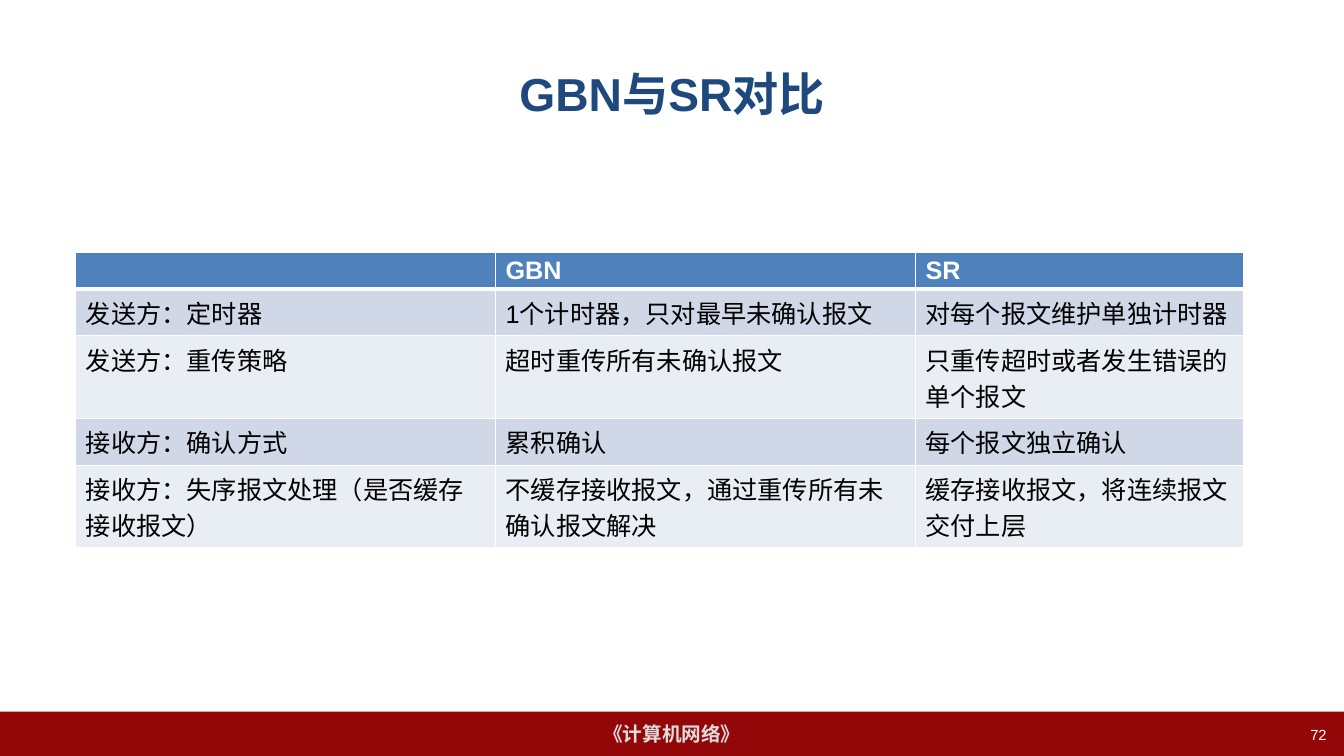
from dataclasses import dataclass

from lxml.etree import SubElement
from pptx import Presentation
from pptx.dml.color import RGBColor
from pptx.enum.shapes import MSO_SHAPE
from pptx.enum.text import MSO_ANCHOR, PP_ALIGN
from pptx.oxml.ns import qn
from pptx.util import Cm, Pt


@dataclass(frozen=True)
class Theme:
    """Colours, type sizes and font of the slide."""
    font: str = "Arial"
    navy: str = "1F497D"
    crimson: str = "940709"
    silver: str = "DDDDDD"
    white: str = "FFFFFF"
    black: str = "000000"
    header: str = "4F81BD"
    bands: tuple = ("D0D8E8", "E9EDF4")
    title_size: float = 33
    table_size: float = 18
    footer_size: float = 14
    number_size: float = 10.5


THEME = Theme()
COLUMN_WIDTHS = (10.58, 10.58, 8.26)
HEADER_HEIGHT, ONE_LINE, TWO_LINES = 0.94, 1.17, 2.09
ROW_HEIGHTS = (HEADER_HEIGHT, ONE_LINE, TWO_LINES, ONE_LINE, TWO_LINES)
COMPARISON = (
    ("", "GBN", "SR"),
    ("发送方：定时器", "1个计时器，只对最早未确认报文", "对每个报文维护单独计时器"),
    ("发送方：重传策略", "超时重传所有未确认报文", "只重传超时或者发生错误的单个报文"),
    ("接收方：确认方式", "累积确认", "每个报文独立确认"),
    ("接收方：失序报文处理（是否缓存接收报文）",
     "不缓存接收报文，通过重传所有未确认报文解决", "缓存接收报文，将连续报文交付上层"),
)


def write(frame, text, size, color, bold=False, align=PP_ALIGN.LEFT):
    """Put one styled paragraph into a text frame."""
    para = frame.paragraphs[0]
    para.text = text
    para.alignment = align
    para.font.name = THEME.font
    para.font.size = Pt(size)
    para.font.bold = bold
    para.font.color.rgb = RGBColor.from_string(color)


def add_label(page, area, anchor, text, size, color, **style):
    """Add a wrapping text box."""
    frame = page.shapes.add_textbox(*map(Cm, area)).text_frame
    frame.word_wrap = True
    frame.vertical_anchor = anchor
    write(frame, text, size, color, **style)


def add_footer(page, area, text):
    """Add the filled bar with the course name."""
    bar = page.shapes.add_shape(MSO_SHAPE.RECTANGLE, *map(Cm, area))
    bar.shadow.inherit = False
    bar.fill.solid()
    bar.fill.fore_color.rgb = RGBColor.from_string(THEME.crimson)
    bar.line.fill.background()
    bar.text_frame.word_wrap = False
    bar.text_frame.vertical_anchor = MSO_ANCHOR.MIDDLE
    write(bar.text_frame, text, THEME.footer_size, THEME.silver, True, PP_ALIGN.CENTER)


def set_borders(cell, bottom):
    """Draw white borders around a cell, with the given bottom width."""
    properties = cell._tc.get_or_add_tcPr()
    for side, width in (("L", 1), ("R", 1), ("T", 1), ("B", bottom)):
        line = SubElement(properties, qn(f"a:ln{side}"), w=str(Pt(width)))
        fill = SubElement(line, qn("a:solidFill"))
        SubElement(fill, qn("a:srgbClr"), val=THEME.white)


def add_comparison(page, left, top):
    """Add the table with a header row and banded body rows."""
    table = page.shapes.add_table(
        len(ROW_HEIGHTS), len(COLUMN_WIDTHS), Cm(left), Cm(top),
        Cm(sum(COLUMN_WIDTHS)), Cm(sum(ROW_HEIGHTS))).table
    for column, width in zip(table.columns, COLUMN_WIDTHS):
        column.width = Cm(width)
    for index, (row, height, texts) in enumerate(zip(table.rows, ROW_HEIGHTS, COMPARISON)):
        row.height = Cm(height)
        heading = index == 0
        fill = THEME.header if heading else THEME.bands[(index - 1) % 2]
        color = THEME.white if heading else THEME.black
        for cell, text in zip(row.cells, texts):
            set_borders(cell, 3 if heading else 1)
            cell.margin_bottom = Cm(0.05 if heading else 0.13)
            cell.fill.solid()
            cell.fill.fore_color.rgb = RGBColor.from_string(fill)
            write(cell.text_frame, text, THEME.table_size, color, heading)


def main():
    """Build the slide and save the deck."""
    deck = Presentation()
    deck.slide_width, deck.slide_height = Cm(33.87), Cm(19.05)
    page = deck.slides.add_slide(deck.slide_layouts[6])
    add_footer(page, (0, 17.93, 33.87, 1.12), "《计算机网络》")
    add_label(page, (1.7, 0.76, 30.48, 3.18), MSO_ANCHOR.MIDDLE, "GBN与SR对比",
              THEME.title_size, THEME.navy, bold=True, align=PP_ALIGN.CENTER)
    add_label(page, (25.78, 18.16, 7.9, 0.89), MSO_ANCHOR.TOP, "72",
              THEME.number_size, THEME.white, align=PP_ALIGN.RIGHT)
    add_comparison(page, 1.91, 6.35)
    deck.save("out.pptx")


if __name__ == "__main__":
    main()
